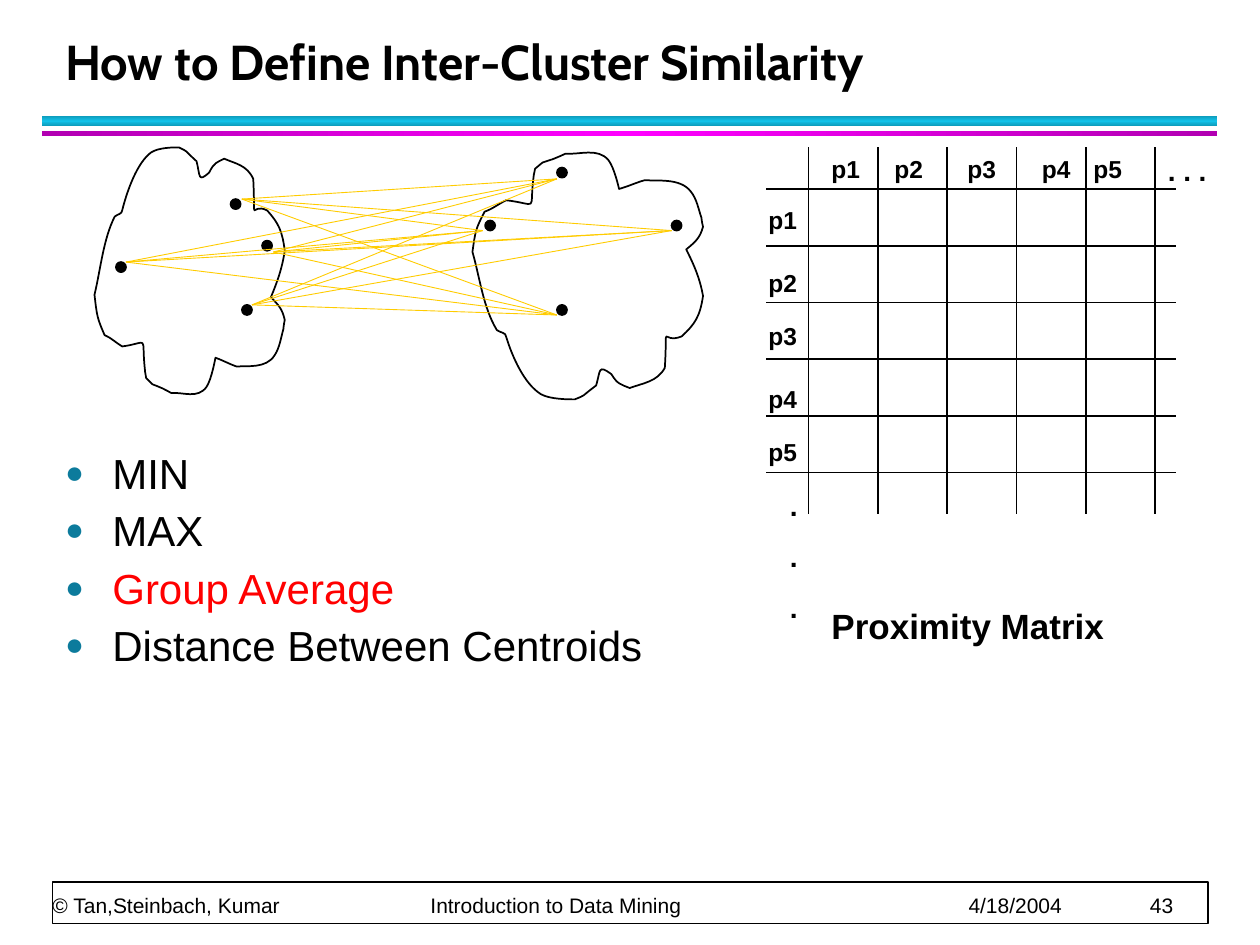
from copy import deepcopy
from itertools import product

from lxml import etree
from pptx import Presentation
from pptx.dml.color import RGBColor
from pptx.enum.shapes import MSO_CONNECTOR, MSO_SHAPE
from pptx.enum.text import MSO_ANCHOR, MSO_AUTO_SIZE, PP_ALIGN
from pptx.oxml.ns import qn
from pptx.util import Inches, Pt

STRAIGHT = MSO_CONNECTOR.STRAIGHT
RECTANGLE, OVAL = MSO_SHAPE.RECTANGLE, MSO_SHAPE.OVAL
BLACK, WHITE, RED, YELLOW, TEAL = "000000", "FFFFFF", "FF0000", "FFCC00", "0C7B9C"
MARGIN = 5 / 12
BULLET_INDENT = 3 / 8

# Content
TITLE = "How to Define Inter-Cluster Similarity"
MEASURES = [("MIN", BLACK), ("MAX", BLACK), ("Group Average", RED),
            ("Distance Between Centroids", BLACK)]
FOOTER = ["© Tan,Steinbach, Kumar", "Introduction to Data Mining", "4/18/2004", "43"]
FOOTER_TABS = [3, 7.27, 8.71]
# Header bars: top, height, edge colour, middle colour, gradient angle
BARS = [(0.92, 0.08, "0E9BBA", "12C2E9", 90), (1.04, 0.04, "B200B2", "FF00FF", 0)]

# Proximity matrix: label, left of the column label, top of the row label
POINTS = [("p1", 6.5, 1.58), ("p2", 7, 2.08), ("p3", 7.58, 2.5),
          ("p4", 8.17, 3), ("p5", 8.58, 3.42)]
GRID_LEFT, GRID_TOP, COLUMN, ROW, RULES = 6 + MARGIN, 1.5, 0.55, 0.45, 6

# Cluster members: left and top of the dot, then the point where its links meet
DOT = 0.08
LEFT_MEMBERS = [(1.92, 2.42, 2, 2.42), (2.08, 1.91, 2.17, 2),
                (0.92, 2.08, 1, 2.08), (1.83, 1.58, 1.92, 1.58)]
RIGHT_MEMBERS = [(4.42, 2.42, 4.42, 2.5), (3.85, 1.75, 3.83, 1.83),
                 (4.42, 1.33, 4.42, 1.42), (5.33, 1.75, 5.33, 1.83)]

# Cluster outline: a start point, then cubic curves (two controls and an end)
OUTLINE = [
    (0.91, 1.72),
    (0.82, 1.9), (0.8, 2.13), (0.75, 2.34), (0.77, 2.51), (0.77, 2.52), (0.83, 2.66),
    (0.88, 2.68), (0.92, 2.72), (0.97, 2.75), (1.19, 2.72), (1.12, 2.65), (1.15, 2.93),
    (1.15, 2.96), (1.16, 2.98), (1.16, 3), (1.23, 3.07), (1.19, 3.04), (1.26, 3.07),
    (1.29, 3.08), (1.36, 3.12), (1.36, 3.12), (1.45, 3.11), (1.57, 3.17), (1.64, 3.07),
    (1.68, 3.01), (1.71, 2.84), (1.71, 2.84), (1.77, 2.86), (1.82, 2.89), (1.88, 2.91),
    (1.96, 2.9), (2.11, 2.93), (2.18, 2.82), (2.22, 2.76), (2.23, 2.68), (2.25, 2.61),
    (2.25, 2.59), (2.26, 2.54), (2.26, 2.54), (2.24, 2.45), (2.21, 2.42), (2.15, 2.36),
    (2.2, 2.24), (2.24, 2.13), (2.26, 1.99), (2.24, 1.83), (2.21, 1.77), (2.12, 1.67),
    (1.98, 1.6), (2.03, 1.82), (2.01, 1.42), (1.96, 1.31), (1.87, 1.3), (1.78, 1.26),
    (1.72, 1.29), (1.7, 1.29), (1.66, 1.37), (1.57, 1.45), (1.59, 1.4), (1.56, 1.28),
    (1.45, 1.18), (1.5, 1.21), (1.42, 1.17), (1.38, 1.17), (1.26, 1.17), (1.2, 1.21),
    (1.09, 1.29), (1.01, 1.51), (0.97, 1.67), (0.97, 1.7), (0.93, 1.7), (0.91, 1.72),
]

presentation = Presentation()
presentation.slide_width, presentation.slide_height = Inches(10), Inches(7.5)
slide = presentation.slides.add_slide(presentation.slide_layouts[1])
shapes = slide.shapes


def color(value):
    return RGBColor.from_string(value)


def style_font(paragraph, size, value=BLACK, bold=False, name="Arial"):
    for run in paragraph.runs:
        run.font.size, run.font.bold, run.font.name = Pt(size), bold, name
        run.font.color.rgb = color(value)


def place(shape, left, top, width, height):
    shape.left, shape.top = Inches(left), Inches(top)
    shape.width, shape.height = Inches(width), Inches(height)


def add_box(kind, left, top, width, height, fill, line=None):
    shape = shapes.add_shape(kind, *map(Inches, (left, top, width, height)))
    shape.shadow.inherit = False
    shape.fill.solid()
    shape.fill.fore_color.rgb = color(fill)
    if line:
        shape.line.color.rgb, shape.line.width = color(line), Pt(1)
    else:
        shape.line.fill.background()
    return shape


def add_line(start, end, value=BLACK, width=1):
    line = shapes.add_connector(STRAIGHT, *map(Inches, (*start, *end)))
    line.line.color.rgb, line.line.width = color(value), Pt(width)
    etree.SubElement(line._element.spPr, qn("a:effectLst"))


def add_label(text, left, top, width, height, size, bold=True, space=0):
    box = shapes.add_textbox(*map(Inches, (left, top, width, height)))
    box.text_frame.word_wrap = True
    box.text_frame.text = text
    for index, paragraph in enumerate(box.text_frame.paragraphs):
        paragraph.space_before = Pt(space if index else 0)
        style_font(paragraph, size, bold=bold)
    return box.text_frame


def add_outline(points):
    corners = [(Inches(x), Inches(y)) for x, y in points]
    builder = shapes.build_freeform(*corners[0])
    builder.add_line_segments(corners[1:], close=True)
    shape = builder.convert_to_shape()
    shape.shadow.inherit = False
    shape.fill.background()
    shape.line.color.rgb, shape.line.width = color(BLACK), Pt(1)
    # Join every three segments into one cubic curve
    segments = list(shape._element.spPr.iter(qn("a:lnTo")))
    for first, second, end in zip(*[iter(segments)] * 3):
        curve = etree.Element(qn("a:cubicBezTo"))
        first.addprevious(curve)
        for segment in (first, second, end):
            curve.append(segment[0])
            segment.getparent().remove(segment)


# Header bars
for top, height, edge, middle, angle in BARS:
    bar = add_box(RECTANGLE, 1 / 3, top, 9.33, height, edge)
    bar.fill.gradient()
    bar.fill.gradient_angle = angle
    for stop, value in zip(bar.fill.gradient_stops, (edge, middle)):
        stop.color.rgb = color(value)
    stops = bar._element.spPr.find(qn("a:gradFill")).find(qn("a:gsLst"))
    stops.append(deepcopy(stops[0]))
    for stop, position in zip(bar.fill.gradient_stops, (0, 0.5, 1)):
        stop.position = position

# Footer
add_box(RECTANGLE, MARGIN, 7, 9.17, 0.33, WHITE, BLACK)
footer = add_label("\t".join(FOOTER), MARGIN, 6.72, 9.15, 0.56, 12, bold=False)
footer.vertical_anchor = MSO_ANCHOR.BOTTOM
footer.margin_left = footer.margin_right = footer.margin_top = footer.margin_bottom = 0
footer.paragraphs[0].line_spacing = Pt(20)
tabs = etree.SubElement(footer.paragraphs[0]._p.get_or_add_pPr(), qn("a:tabLst"))
for position in FOOTER_TABS:
    etree.SubElement(tabs, qn("a:tab"), pos=str(Inches(position)), algn="l")

# Title
title = shapes.title
place(title, MARGIN, 0.17, 9.06, 0.6)
title.text_frame.text = TITLE
title.text_frame.auto_size = MSO_AUTO_SIZE.NONE
title.text_frame.vertical_anchor = MSO_ANCHOR.BOTTOM
heading = title.text_frame.paragraphs[0]
heading.alignment, heading.line_spacing = PP_ALIGN.LEFT, Pt(36)
style_font(heading, 28, bold=True, name="Cabin")

# Proximity matrix
for index in range(RULES):
    x, y = GRID_LEFT + index * COLUMN, GRID_TOP + index * ROW
    add_line((x, 1.17), (x, 4.08))
    add_line((6.08, y), (9.33, y))
for label, column_left, row_top in POINTS:
    add_label(label, column_left, 1.17, 0.58, 0.34, 14)
    add_label(label, 6, row_top, 0.58, 0.34, 14)
add_label(". . .", 9.17, 1.17, 0.58, 0.37, 16)
add_label(".\n.\n.", 6.17, 3.83, 0.58, 1.18, 16, space=10)
add_label("Proximity Matrix", 6.5, 4.75, 2.75, 0.44, 20)

# Clusters: the right outline is the left one flipped and widened
add_outline(OUTLINE)
add_outline([(3.75 + (x - 0.75) * 1.83 / 1.51, 4.34 - y) for x, y in OUTLINE])
for left, top, *_ in LEFT_MEMBERS + RIGHT_MEMBERS:
    add_box(OVAL, left, top, DOT, DOT, BLACK, BLACK)
for (*_, x1, y1), (*_, x2, y2) in product(LEFT_MEMBERS, RIGHT_MEMBERS):
    add_line((x1, y1), (x2, y2), YELLOW, 0.5)

# Similarity measures
body = slide.placeholders[1]
place(body, MARGIN, 3.5, 6.33, 3.42)
body.text_frame.text = "\n".join(text for text, _ in MEASURES)
body.text_frame.auto_size = MSO_AUTO_SIZE.NONE
for index, (paragraph, (_, value)) in enumerate(zip(body.text_frame.paragraphs, MEASURES)):
    paragraph.space_before, paragraph.space_after = Pt(2 if index else 0), Pt(2)
    properties = paragraph._p.get_or_add_pPr()
    properties.set("marL", str(Inches(BULLET_INDENT)))
    properties.set("indent", str(-Inches(BULLET_INDENT)))
    bullet_color = etree.SubElement(properties, qn("a:buClr"))
    etree.SubElement(bullet_color, qn("a:srgbClr"), val=TEAL)
    etree.SubElement(properties, qn("a:buSzPct"), val="75000")
    etree.SubElement(properties, qn("a:buChar"), char="●")
    style_font(paragraph, 24, value)

presentation.save("out.pptx")
